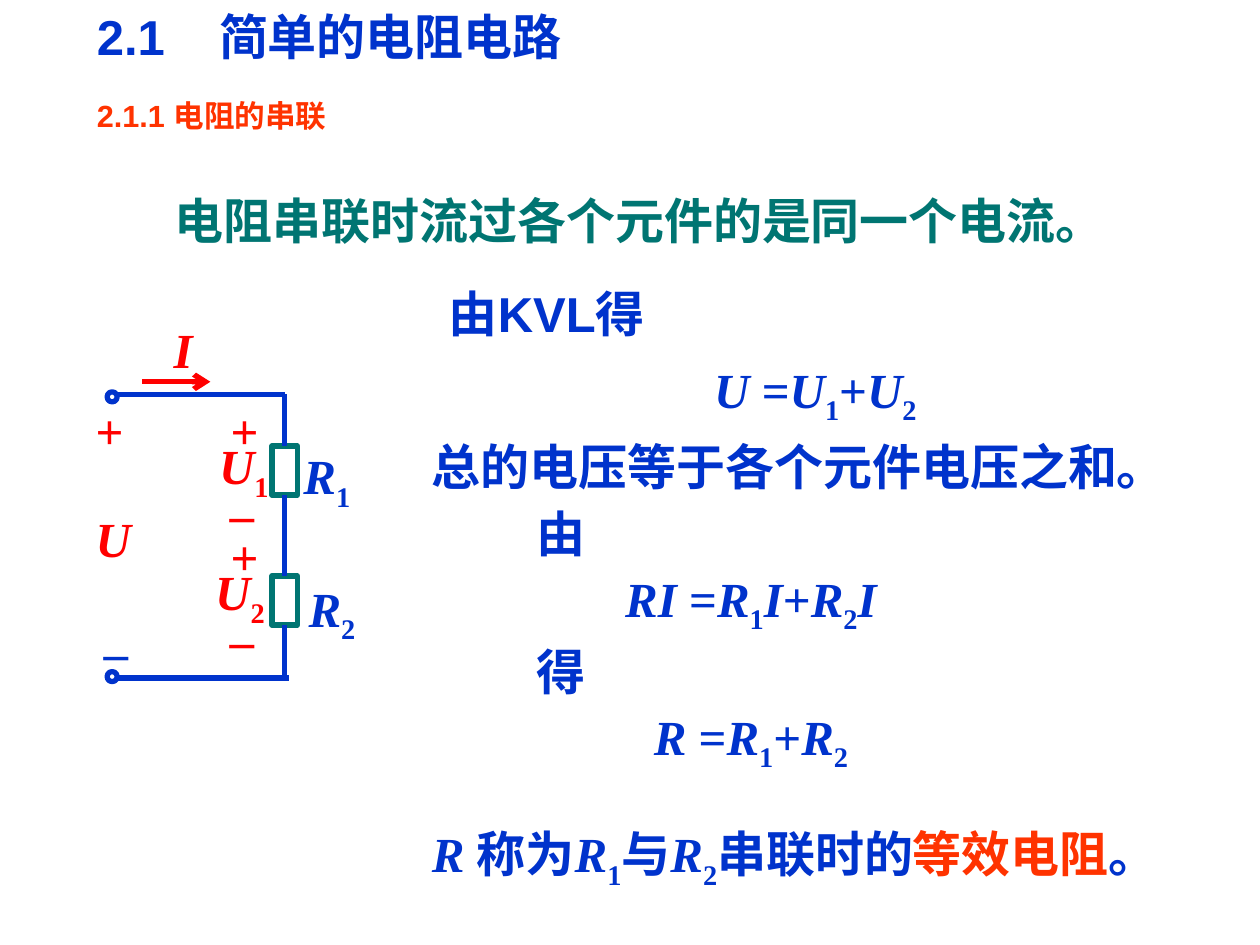
from itertools import groupby

from lxml import etree
from pptx import Presentation
from pptx import util as u
from pptx.dml.color import RGBColor
from pptx.enum import shapes, text
from pptx.oxml.ns import qn

BLUE, RED, TEAL, ORANGE = "0033CC", "FF0000", "007572", "FF3300"
SANS, SERIF = "Arial", "Times New Roman"
CENTER = {"alignment": text.PP_ALIGN.CENTER}
LOOSE = {"line_spacing": 1.05}
SPACED = {"line_spacing": 1.05, "space_before": u.Pt(1.8)}
MIDDLE = {"vertical_anchor": text.MSO_ANCHOR.MIDDLE}
GROW = {"auto_size": text.MSO_AUTO_SIZE.SHAPE_TO_FIT_TEXT}
FIT = {**GROW, "word_wrap": False}


def color(value):
    return RGBColor.from_string(value)


def apply(target, values):
    for name, value in values.items():
        setattr(target, name, value)


def symbol_kind(character):
    if character.isascii() and character.isupper():
        return "variable"
    return "index" if character.isdigit() else "plain"


class CircuitSlide:
    def __init__(self, presentation):
        self.slide = presentation.slides.add_slide(presentation.slide_layouts[6])
        self.style = {"size": u.Pt(28), "bold": True}

    def textbox(self, left, top, width, height, frame_format):
        shape = self.slide.shapes.add_textbox(*map(u.Inches, (left, top, width, height)))
        shape.text_frame.word_wrap = True
        apply(shape.text_frame, frame_format)
        return shape.text_frame

    def run(self, paragraph, content, fill, values):
        run = paragraph.add_run()
        run.text = content
        apply(run.font, {**self.style, **values})
        run.font.color.rgb = color(fill)
        return run

    def label(self, place, content, fill, font, frame_format, values=None, size=28):
        paragraph = self.textbox(*place, frame_format).paragraphs[0]
        apply(paragraph, values or {})
        self.run(paragraph, content, fill, {"name": font, "size": u.Pt(size)})
        return paragraph

    def formula(self, paragraph, content, fill=BLUE, values=None):
        apply(paragraph, values or {})
        for kind, characters in groupby(content, symbol_kind):
            run = self.run(paragraph, "".join(characters), fill,
                           {"name": SERIF, "italic": kind == "variable"})
            if kind == "index":
                run._r.get_or_add_rPr().set("baseline", "-25000")

    def formula_box(self, place, content, fill, frame_format, values=None):
        paragraph = self.textbox(*place, frame_format).paragraphs[0]
        self.formula(paragraph, content, fill, values)
        return paragraph

    def indent(self, paragraph, side, inches):
        paragraph._p.get_or_add_pPr().set(side, str(u.Inches(inches)))

    def tab(self, paragraph, inches):
        stops = etree.SubElement(paragraph._p.get_or_add_pPr(), qn("a:tabLst"))
        etree.SubElement(stops, qn("a:tab"), pos=str(u.Inches(inches)), algn="l")

    def outline(self, kind, left, top, width, height, line, weight):
        shape = self.slide.shapes.add_shape(kind, *map(u.Inches, (left, top, width, height)))
        shape.shadow.inherit = False
        shape.fill.background()
        shape.line.color.rgb = color(line)
        shape.line.width = u.Pt(weight)
        return shape

    def wire(self, start, end, line=BLUE, weight=3.12, begin=None, finish=None, arrow=False):
        connector = self.slide.shapes.add_connector(
            shapes.MSO_CONNECTOR.STRAIGHT, *map(u.Inches, (*start, *end)))
        connector.line.color.rgb = color(line)
        connector.line.width = u.Pt(weight)
        if begin is not None:
            connector.begin_connect(begin, 2)
        if finish is not None:
            connector.end_connect(finish, 0)
        if arrow:
            etree.SubElement(connector.line._get_or_add_ln(), qn("a:tailEnd"), type="arrow")
        etree.SubElement(connector._element.spPr, qn("a:effectLst"))


def draw_circuit(page):
    wire_x, left_x = 2.26, 0.93
    first, second = [
        page.outline(shapes.MSO_SHAPE.RECTANGLE, wire_x - 0.1, top, 0.2, 0.39, TEAL, 3.12)
        for top in (3.54, 4.57)
    ]
    page.wire((wire_x, 3.13), (left_x, 3.13))
    page.wire((wire_x, 3.13), (wire_x, 3.54), finish=first)
    page.wire((wire_x, 3.93), (wire_x, 4.57), begin=first, finish=second)
    page.wire((wire_x, 4.96), (wire_x, 5.38), begin=second)
    page.wire((left_x, 5.38), (2.29, 5.38))
    page.wire((1.13, 3.03), (1.67, 3.03), RED, 3, arrow=True)
    for top in (3.11, 5.33):
        page.outline(shapes.MSO_SHAPE.OVAL, 0.85, top, 0.08, 0.08, BLUE, 3)

    page.formula_box((1.28, 2.49, 0.35, 0.57), "I", RED, FIT)
    page.formula_box((0.66, 3.99, 0.48, 0.57), "U", RED, FIT)
    page.formula_box((1.64, 3.41, 0.59, 0.63), "U1", RED, FIT)
    page.formula_box((1.61, 4.41, 0.59, 0.63), "U2", RED, FIT)
    page.formula_box((2.31, 3.49, 0.57, 0.63), "R1", BLUE, FIT, CENTER)
    page.formula_box((2.35, 4.54, 0.59, 0.63), "R2", BLUE, GROW)
    for left, top in ((0.43, 3.13), (1.5, 3.13), (1.5, 4.13)):
        page.label((left, top, 0.88, 0.57), "+", RED, SERIF, GROW, CENTER)
    for left, top, fill in ((1.68, 3.79, RED), (1.68, 4.79, RED), (0.68, 4.88, BLUE)):
        page.label((left, top, 0.48, 0.57), "–", fill, SERIF, GROW, CENTER)


def write_derivation(page):
    page.label((3.37, 2.2, 1.94, 0.57), "由KVL得", BLUE, SANS, FIT, CENTER)
    page.formula_box((5.57, 2.77, 2.58, 0.67), "U =U1+U2", BLUE, MIDDLE, LOOSE)
    page.formula_box((3.33, 3.31, 6.48, 0.75), "总的电压等于各个元件电压之和。", BLUE, MIDDLE, LOOSE)

    frame = page.textbox(4.16, 4.26, 3.99, 2.08, {**MIDDLE, "margin_bottom": u.Inches(0.54)})
    steps = [("由", LOOSE), ("RI =R1I+R2I", {**SPACED, **CENTER}),
             ("得", SPACED), ("R =R1+R2", {**SPACED, **CENTER})]
    for index, (content, values) in enumerate(steps):
        paragraph = frame.add_paragraph() if index else frame.paragraphs[0]
        page.formula(paragraph, content, values=values)
    page.indent(frame.paragraphs[1], "marR", 0.39)

    conclusion = page.formula_box((3.33, 6.49, 6.17, 0.63), "R 称为R1与R2串联时的", BLUE, GROW)
    page.formula(conclusion, "等效电阻", ORANGE)
    page.formula(conclusion, "。")


def main():
    presentation = Presentation()
    presentation.slide_width = u.Inches(10)
    presentation.slide_height = u.Inches(7.5)
    page = CircuitSlide(presentation)

    title = page.label((0.67, 0, 4.41, 0.57), "2.1\t简单的电阻电路", BLUE, SANS, GROW)
    page.tab(title, 0.97)
    page.label((0.67, 0.72, 3.54, 0.43), "2.1.1 电阻的串联", ORANGE, SANS, {}, size=17.5)
    statement = page.label((0.75, 1.47, 8.9, 0.55), "电阻串联时流过各个元件的是同一个电流。",
                           TEAL, SERIF, MIDDLE)
    page.indent(statement, "marL", 0.54)
    draw_circuit(page)
    write_derivation(page)
    presentation.save("out.pptx")


if __name__ == "__main__":
    main()
